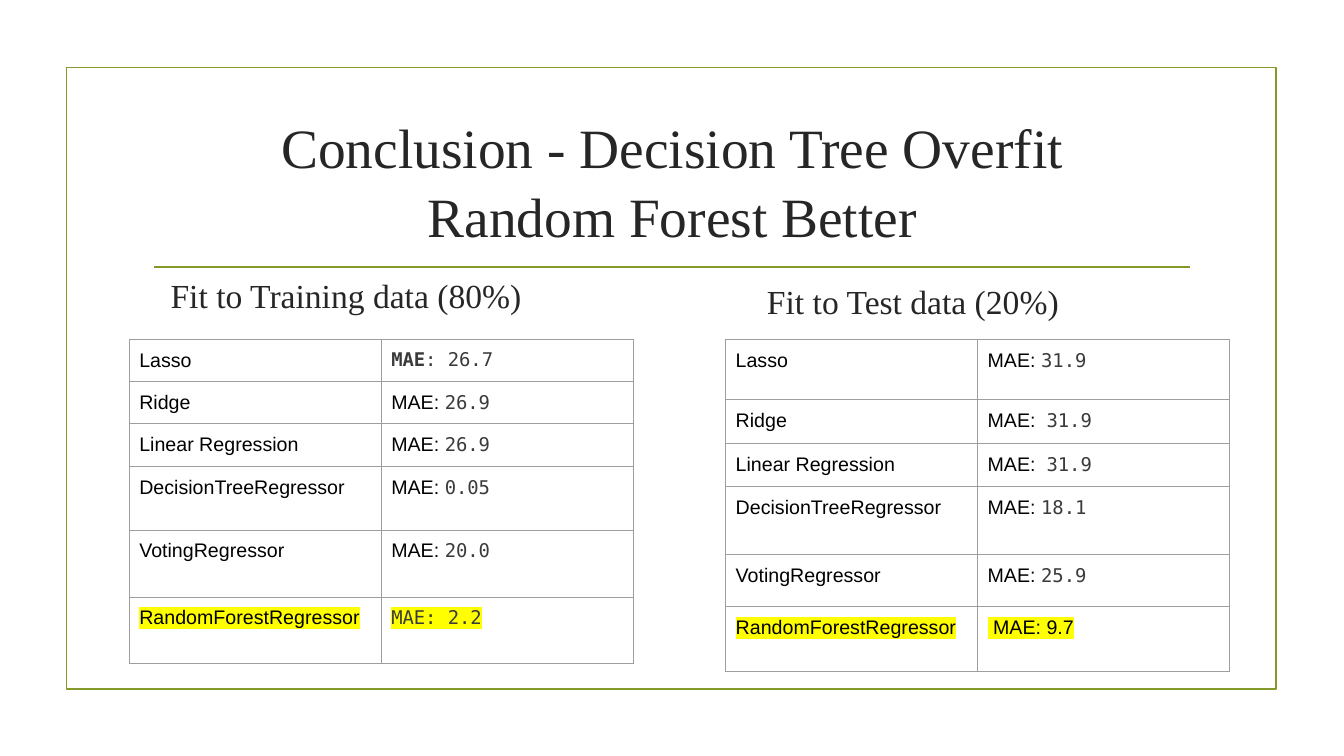
import pptx
import pptx.util
import pptx.dml.color
import pptx.enum.shapes
import pptx.enum.text
from lxml import etree
from pptx.oxml.ns import qn

Cm, Pt = pptx.util.Cm, pptx.util.Pt
RGBColor = pptx.dml.color.RGBColor

OLIVE = RGBColor(0x83, 0x99, 0x2A)
INK = RGBColor(0x26, 0x26, 0x26)
BLACK = RGBColor(0, 0, 0)
CODE_GRAY = RGBColor(0x3B, 0x3B, 0x3B)
BORDER_GRAY = RGBColor(0x9E, 0x9E, 0x9E)
YELLOW = RGBColor(0xFF, 0xFF, 0)
SERIF, SANS, MONO = "Times New Roman", "Arial", "DejaVu Sans Mono"
INSET = Cm(0.25)

MODELS = ["Lasso", "Ridge", "Linear Regression", "DecisionTreeRegressor",
          "VotingRegressor", "RandomForestRegressor"]
BEST_MODEL = "RandomForestRegressor"

# Each score is a pair: label in sans, value in monospace
TRAIN_SCORES = [("", "MAE: 26.7"), ("MAE: ", "26.9"), ("MAE: ", "26.9"),
                ("MAE: ", "0.05"), ("MAE: ", "20.0"), ("", "MAE: 2.2")]
TEST_SCORES = [("MAE: ", "31.9"), ("MAE:  ", "31.9"), ("MAE:  ", "31.9"),
               ("MAE: ", "18.1"), ("MAE: ", "25.9"), (" MAE: 9.7", "")]
TRAIN_HEIGHTS = [1.06, 1.07, 1.07, 1.61, 1.69, 1.67]
TEST_HEIGHTS = [1.52, 1.1, 1.1, 1.71, 1.31, 1.63]


def style_font(font, name, size, color):
    font.name = name
    font.size = Pt(size)
    font.color.rgb = color


def add_color(parent, color):
    fill = etree.SubElement(parent, qn("a:solidFill"))
    etree.SubElement(fill, qn("a:srgbClr"), val=str(color))


def highlight(r):
    mark = etree.Element(qn("a:highlight"))
    etree.SubElement(mark, qn("a:srgbClr"), val=str(YELLOW))
    r.font.fill._xPr.find(qn("a:latin")).addprevious(mark)


def add_run(p, text, name, size, color, marked):
    r = p.add_run()
    r.text = text
    style_font(r.font, name, size, color)
    if marked:
        highlight(r)
    return r


def set_borders(cell):
    tc_pr = cell._tc.get_or_add_tcPr()
    for i, side in enumerate(("lnL", "lnR", "lnT", "lnB")):
        ln = etree.Element(qn("a:" + side), w=str(Pt(0.75)))
        add_color(ln, BORDER_GRAY)
        tc_pr.insert(i, ln)


def add_frame(s):
    frame = s.shapes.add_shape(pptx.enum.shapes.MSO_SHAPE.RECTANGLE,
                               Cm(1.68), Cm(1.7), Cm(30.48), Cm(15.67))
    frame.shadow.inherit = False
    frame.fill.background()
    frame.line.color.rgb = OLIVE
    frame.line.width = Pt(1.25)


def add_rule(s):
    rule = s.shapes.add_connector(pptx.enum.shapes.MSO_CONNECTOR.STRAIGHT,
                                  Cm(3.89), Cm(6.73), Cm(30), Cm(6.73))
    rule.line.color.rgb = OLIVE
    rule.line.width = Pt(1.25)
    etree.SubElement(rule._element.spPr, qn("a:effectLst"))


def fill_title(s, lines):
    title = s.shapes.title
    title.left, title.top = Cm(3.61), Cm(2.72)
    title.width, title.height = Cm(26.67), Cm(3.63)
    tf = title.text_frame
    tf.text = "\n".join(lines)
    tf.word_wrap = True
    tf.auto_size = pptx.enum.text.MSO_AUTO_SIZE.NONE
    tf.vertical_anchor = pptx.enum.text.MSO_ANCHOR.MIDDLE
    for p in tf.paragraphs:
        p.alignment = pptx.enum.text.PP_ALIGN.CENTER
        p.line_spacing = 1.03
        style_font(p.font, SERIF, 39.6, INK)


def add_heading(s, text, left, top):
    sp = s.shapes.add_textbox(Cm(left), Cm(top), Cm(11.1), Cm(1.55))
    tf = sp.text_frame
    tf.word_wrap = True
    tf.margin_left = tf.margin_right = INSET
    tf.margin_top = tf.margin_bottom = INSET
    p = tf.paragraphs[0]
    p.text = text
    style_font(p.font, SERIF, 24, INK)


def add_scores(s, left, top, scores, heights):
    table = s.shapes.add_table(len(MODELS), 2, Cm(left), Cm(top),
                               Cm(12.7), Cm(sum(heights))).table
    table.first_row = table.horz_banding = False
    for column in table.columns:
        column.width = Cm(6.35)
    for row, height, model, (label, value) in zip(table.rows, heights, MODELS, scores):
        row.height = Cm(height)
        best = model == BEST_MODEL
        for cell, sans, mono in zip(row.cells, (model, label), ("", value)):
            cell.margin_left = cell.margin_right = INSET
            cell.margin_top = cell.margin_bottom = INSET
            cell.fill.background()
            set_borders(cell)
            p = cell.text_frame.paragraphs[0]
            if sans:
                add_run(p, sans, SANS, 14, BLACK, best)
            if mono:
                add_run(p, mono, MONO, 13.5, CODE_GRAY, best)
    return table


def embolden_label(cell, label):
    p = cell.text_frame.paragraphs[0]
    r = p.runs[0]
    rest = r.text[len(label):]
    r.text = label
    r.font.bold = True
    add_run(p, rest, MONO, 13.5, CODE_GRAY, False)


def main():
    prs = pptx.Presentation()
    prs.slide_width, prs.slide_height = Cm(33.87), Cm(19.05)
    s = prs.slides.add_slide(prs.slide_layouts[5])

    # Frame and title
    add_frame(s)
    add_rule(s)
    fill_title(s, ["Conclusion - Decision Tree Overfit", "Random Forest Better"])

    # Training scores
    train = add_scores(s, 3.26, 8.55, TRAIN_SCORES, TRAIN_HEIGHTS)
    embolden_label(train.cell(0, 1), "MAE")
    add_heading(s, "Fit to Training data (80%)", 4.05, 6.68)

    # Test scores
    add_scores(s, 18.29, 8.55, TEST_SCORES, TEST_HEIGHTS)
    add_heading(s, "Fit to Test data (20%)", 19.08, 6.84)

    prs.save("out.pptx")


if __name__ == "__main__":
    main()
